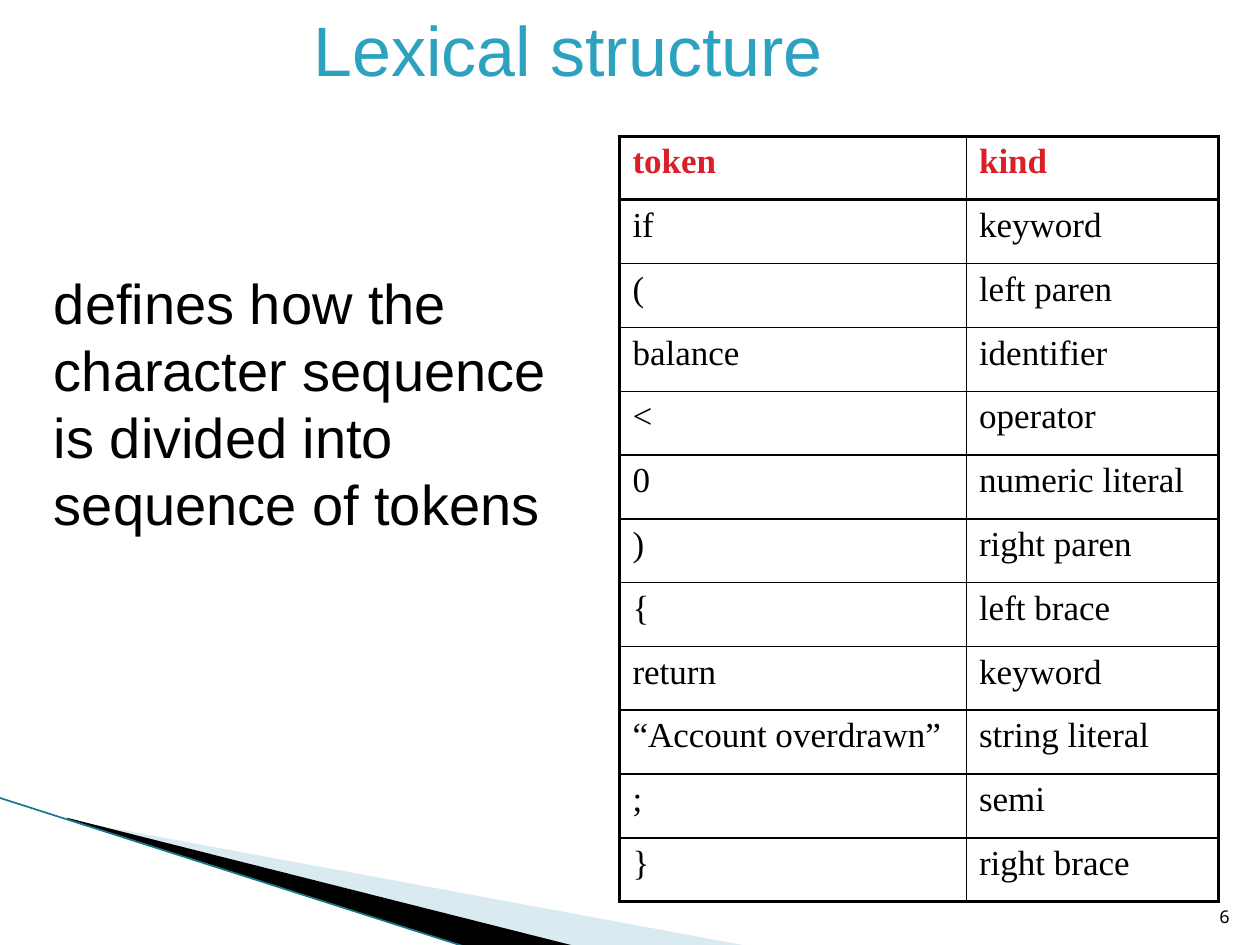
import pptx
import pptx.util
import pptx.dml.color
import pptx.enum.text
import pptx.oxml
import pptx.oxml.ns
from lxml import etree

Inches, Pt = pptx.util.Inches, pptx.util.Pt
ALIGN = pptx.enum.text.PP_ALIGN
ANCHOR = pptx.enum.text.MSO_ANCHOR
qn = pptx.oxml.ns.qn

COLORS = {"title": "2DA2BF", "text": "000000", "head": "DA1F28", "border": "000000",
          "pale": "A0CBDC", "black": "000000", "edge": "17768A"}
TOKENS = [("token", "kind"), ("if", "keyword"), ("(", "left paren"),
          ("balance", "identifier"), ("<", "operator"), ("0", "numeric literal"),
          (")", "right paren"), ("{", "left brace"), ("return", "keyword"),
          ("“Account overdrawn”", "string literal"), (";", "semi"), ("}", "right brace")]


def rgb(name):
    return pptx.dml.color.RGBColor.from_string(COLORS[name])


def write(tf, text, size, font="Arial", color="text", bold=False,
          align=ALIGN.LEFT, before=0):
    p = tf.paragraphs[0]
    p.alignment = align
    p.space_before = Pt(before)
    r = p.add_run()
    r.text = text
    r.font.size, r.font.name, r.font.bold = Pt(size), font, bold
    r.font.color.rgb = rgb(color)


def add_text(s, box, text, size, anchor=ANCHOR.TOP, **fmt):
    tf = s.shapes.add_textbox(*map(Inches, box)).text_frame
    tf.word_wrap = True
    tf.vertical_anchor = anchor
    write(tf, text, size, **fmt)


def add_wedge(s, points, color, alpha=None):
    # Freeform points are whole numbers, so they are given in hundredths of an inch
    points = [(round(x * 100), round(y * 100)) for x, y in points]
    fb = s.shapes.build_freeform(*points[0], scale=Inches(0.01))
    fb.add_line_segments(points[1:], close=True)
    sp = fb.convert_to_shape()
    sp.shadow.inherit = False
    sp.fill.solid()
    sp.fill.fore_color.rgb = rgb(color)
    sp.line.fill.background()
    if alpha:
        clr = sp._element.spPr.find(".//" + qn("a:srgbClr"))
        etree.SubElement(clr, qn("a:alpha")).set("val", str(alpha * 1000))


def add_corner(s, left, top):
    """Swoosh in the lower left corner, measured from its upper tip."""
    def at(points):
        return [(left + x, top + y) for x, y in points]

    add_wedge(s, at([(0.55, 0.18), (5.95, 1.18), (4.56, 1.18), (0.55, 0.17)]), "pale", 40)
    add_wedge(s, at([(0.53, 0.16), (4.57, 1.18), (3.72, 1.19), (0.54, 0.17)]), "black")
    (x1, y1), (x2, y2) = at([(-0.01, 0), (3.71, 1.19)])
    line = s.shapes.add_connector(1, Inches(x1), Inches(y1), Inches(x2), Inches(y2))
    line.line.color.rgb = rgb("edge")
    line.line.width = Pt(0.95)
    etree.SubElement(line._element.spPr, qn("a:effectLst"))


def set_borders(cell, widths):
    tc_pr = cell._tc.get_or_add_tcPr()
    for i, (side, width) in enumerate(widths.items()):
        ln = etree.Element(qn("a:ln" + side), w=str(Pt(width)))
        fill = etree.SubElement(ln, qn("a:solidFill"))
        etree.SubElement(fill, qn("a:srgbClr")).set("val", COLORS["border"])
        tc_pr.insert(i, ln)


def add_token_table(s, left, top, col_widths, height):
    n_rows, n_cols = len(TOKENS), len(col_widths)
    table = s.shapes.add_table(n_rows, n_cols, Inches(left), Inches(top),
                               Inches(sum(col_widths)), Inches(height)).table
    table.first_row = table.horz_banding = False
    for col, width in zip(table.columns, col_widths):
        col.width = Inches(width)
    for i, row in enumerate(TOKENS):
        table.rows[i].height = Inches(height / n_rows)
        for j, text in enumerate(row):
            cell = table.cell(i, j)
            cell.fill.background()
            write(cell.text_frame, text, 20, font="Times New Roman",
                  color="text" if i else "head", bold=i == 0)
            # Heavy frame and heavy rule below the heading
            set_borders(cell, {"L": 2 if j == 0 else 1,
                               "R": 2 if j == n_cols - 1 else 1,
                               "T": 2 if i < 2 else 1,
                               "B": 2 if i in (0, n_rows - 1) else 1})


prs = pptx.Presentation()
prs.slide_width, prs.slide_height = Inches(10), Inches(7.5)
s = prs.slides.add_slide(prs.slide_layouts[6])

# Decoration
add_corner(s, 0, 6.33)
# Token table
add_token_table(s, 4.92, 1.08, (2.75, 2), 6.08)
# Title, definition and slide number
add_text(s, (1.25, 0, 6.67, 1.53), "Lexical structure ", 40, color="title",
         align=ALIGN.CENTER, before=1.5)
add_text(s, (0.33, 2.08, 4.5, 2.23),
         "defines how the character sequence is divided into sequence of tokens",
         32, before=1.5)
add_text(s, (9.46, 7.01, 0.4, 0.4), "6", 10, anchor=ANCHOR.BOTTOM,
         font="Noto Sans Mono", align=ALIGN.RIGHT)

prs.save("out.pptx")
